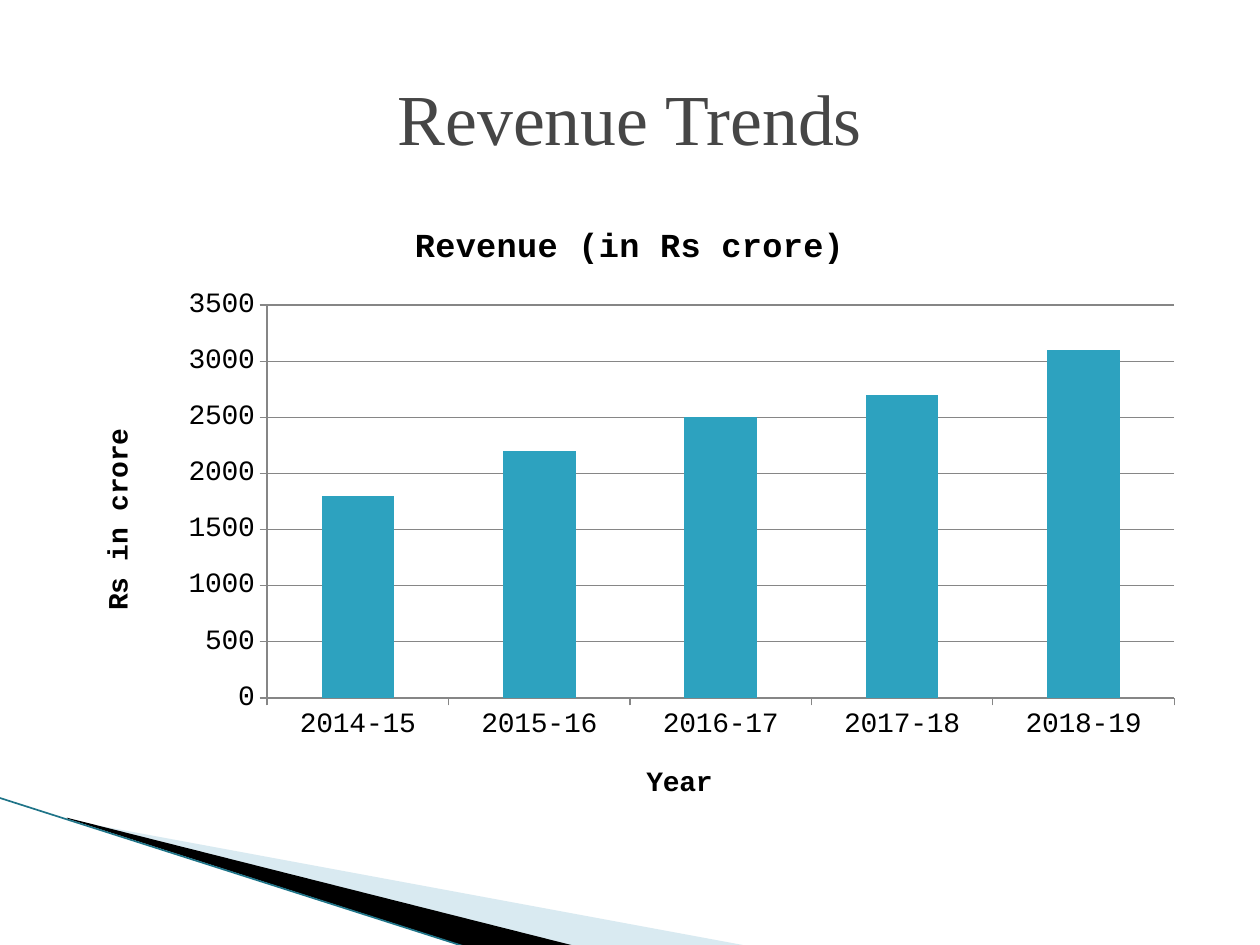
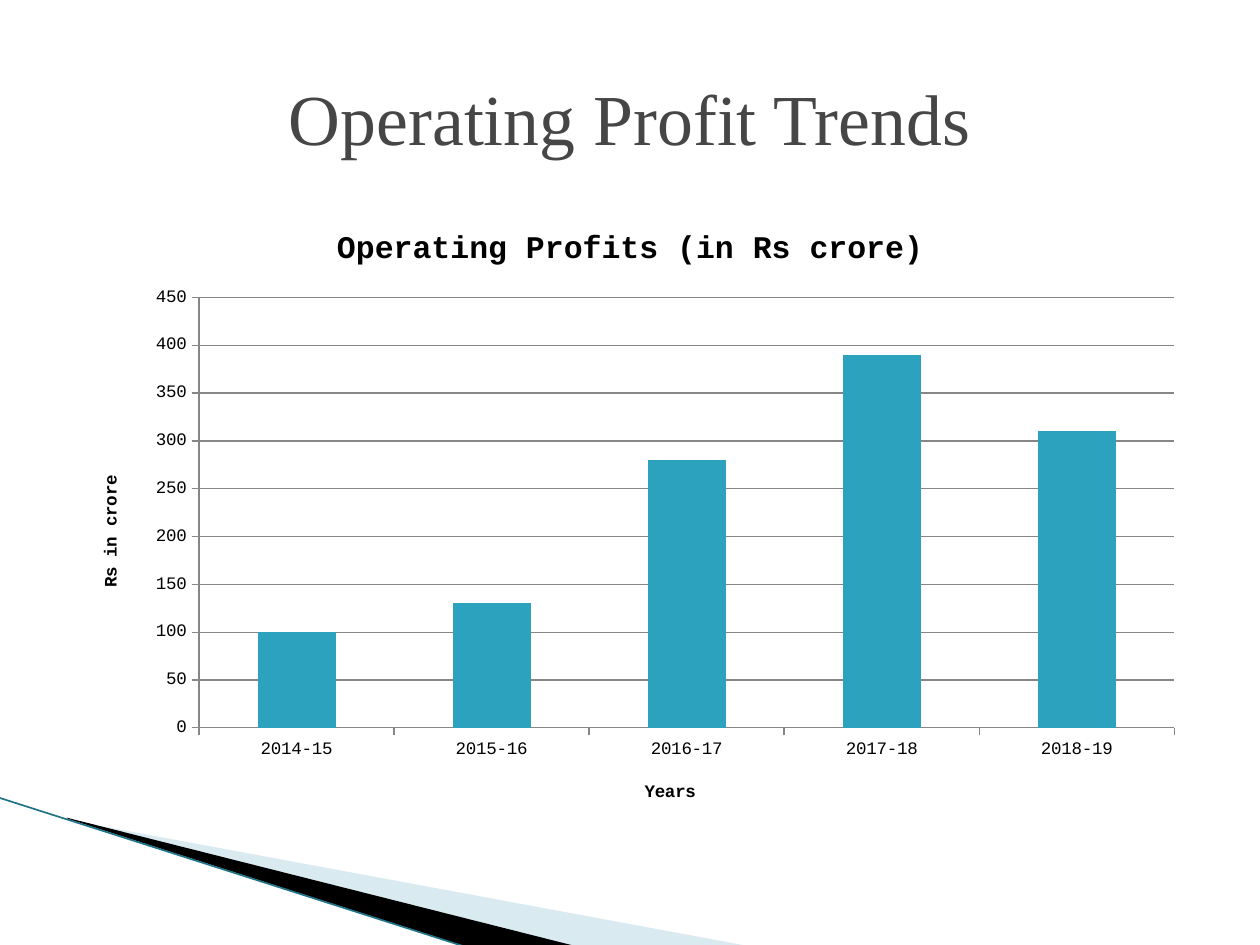
from lxml import etree
from pptx import Presentation
from pptx.chart.data import CategoryChartData
from pptx.dml.color import RGBColor
from pptx.enum.chart import XL_CHART_TYPE, XL_TICK_MARK
from pptx.enum.shapes import MSO_CONNECTOR
from pptx.enum.text import MSO_ANCHOR, PP_ALIGN
from pptx.oxml.ns import qn
from pptx.util import Pt

COLUMNS = XL_CHART_TYPE.COLUMN_CLUSTERED
STRAIGHT = MSO_CONNECTOR.STRAIGHT
OUTSIDE = XL_TICK_MARK.OUTSIDE
MIDDLE = MSO_ANCHOR.MIDDLE
CENTER = PP_ALIGN.CENTER
TITLE_ONLY = 5

COLORS = {"title": "464646", "text": "000000", "bar": "2DA2BF", "grid": "868686",
          "pale_band": "A0CBDC", "dark_band": "000000", "edge": "1F7488"}
TITLE_FONT, CHART_FONT = "Times New Roman", "Courier New"
YEARS = ["2014-15", "2015-16", "2016-17", "2017-18", "2018-19"]

# Corner bands, in points
PALE_BAND = [(39.6, 468.7), (428.4, 540.7), (328.3, 540.7), (39.6, 468)]
DARK_BAND = [(38.2, 467.3), (329, 540.7), (267.8, 541.4), (38.9, 468)]
EDGE = [(-0.7, 455.8), (267.1, 541.4)]


def color(name):
    return RGBColor.from_string(COLORS[name])


def format_font(font, name, size, fill, bold=False):
    font.name, font.size, font.bold = name, Pt(size), bold
    font.color.rgb = color(fill)


def write(frame, text, align=CENTER, **style):
    """Put one formatted line of text in a text frame."""
    para = frame.paragraphs[0]
    para.alignment = align
    span = para.add_run()
    span.text = text
    format_font(span.font, **style)


def place(element, index, **fractions):
    """Fix a chart part at fractions of the chart's width and height."""
    for old in element.findall(qn("c:layout")):
        element.remove(old)
    layout = etree.Element(qn("c:layout"))
    manual = etree.SubElement(layout, qn("c:manualLayout"))
    settings = {"xMode": "edge", "yMode": "edge", **fractions}
    if "w" in fractions:
        settings = {"layoutTarget": "inner", **settings}
    for tag, value in settings.items():
        etree.SubElement(manual, qn(f"c:{tag}")).set("val", str(value))
    element.insert(index, layout)


class Deck:
    def __init__(self):
        self.deck = Presentation()
        self.deck.slide_width, self.deck.slide_height = Pt(720), Pt(540)
        self.page = None

    def add_page(self, title):
        self.page = self.deck.slides.add_slide(self.deck.slide_layouts[TITLE_ONLY])
        self.band(PALE_BAND, "pale_band", opacity=40)
        self.band(DARK_BAND, "dark_band")
        self.line(*EDGE, "edge", 0.95)
        self.title(title)

    def title(self, text):
        box = self.page.shapes.title
        box.left, box.top, box.width, box.height = Pt(36), Pt(21.6), Pt(648), Pt(90)
        box.text_frame.vertical_anchor = MIDDLE
        write(box.text_frame, text, name=TITLE_FONT, size=41, fill="title")

    def band(self, points, fill, opacity=100):
        corners = [(Pt(x), Pt(y)) for x, y in points]
        builder = self.page.shapes.build_freeform(*corners[0])
        builder.add_line_segments(corners[1:], close=True)
        shape = builder.convert_to_shape()
        shape.shadow.inherit = False
        shape.fill.solid()
        shape.fill.fore_color.rgb = color(fill)
        shape.line.fill.background()
        if opacity < 100:
            tint = shape.fill._xPr.find(".//" + qn("a:srgbClr"))
            etree.SubElement(tint, qn("a:alpha")).set("val", str(opacity * 1000))

    def line(self, start, end, stroke, width):
        ends = [Pt(value) for value in (*start, *end)]
        connector = self.page.shapes.add_connector(STRAIGHT, *ends)
        connector.line.color.rgb = color(stroke)
        connector.line.width = Pt(width)
        etree.SubElement(connector._element.spPr, qn("a:effectLst"))

    def column_chart(self, heading, values, top, size, heading_size, year_title,
                     maximum, step, plot, year_at, value_at):
        data = CategoryChartData()
        data.categories = YEARS
        data.add_series(heading, values)
        chart = self.page.shapes.add_chart(
            COLUMNS, Pt(36), Pt(top), Pt(648), Pt(356.4), data).chart
        chart.has_legend = False
        format_font(chart.font, CHART_FONT, size, "text")

        # Heading and columns
        chart.has_title = True
        bold = {"name": CHART_FONT, "fill": "text", "bold": True}
        write(chart.chart_title.text_frame, heading, size=heading_size, **bold)
        chart.chart_title.include_in_layout = False
        columns = chart.plots[0]
        columns.gap_width = 150
        columns.vary_by_categories = False
        fill = columns.series[0].format.fill
        fill.solid()
        fill.fore_color.rgb = color("bar")

        # Axes
        years, amounts = chart.category_axis, chart.value_axis
        amounts.minimum_scale, amounts.maximum_scale = 0, maximum
        amounts.major_unit = step
        amounts.has_major_gridlines = True
        for axis, text, (x, y) in ((years, year_title, year_at),
                                   (amounts, "Rs in crore", value_at)):
            axis.major_tick_mark = OUTSIDE
            axis.has_title = True
            write(axis.axis_title.text_frame, text, size=size, **bold)
            place(axis.axis_title._element, 1, x=x, y=y)
        for item in (years, amounts, amounts.major_gridlines):
            item.format.line.color.rgb = color("grid")
            item.format.line.width = Pt(0.75)
        place(chart._chartSpace.chart.plotArea, 0, **plot)

    def save(self):
        self.deck.save("out.pptx")


def main():
    deck = Deck()

    # Revenue
    deck.add_page("Revenue Trends")
    deck.column_chart("Revenue (in Rs crore)", [1800, 2200, 2500, 2700, 3100],
                      top=113.8, size=16, heading_size=19.2, year_title="Year",
                      maximum=3500, step=500,
                      plot={"x": 0.18, "y": 0.17, "w": 0.8, "h": 0.63},
                      year_at=(0.51, 0.9), value_at=(0.03, 0.36))

    # Operating profit
    deck.add_page("Operating Profit Trends")
    deck.column_chart("Operating Profits (in Rs crore)", [100, 130, 280, 390, 310],
                      top=116.6, size=10, heading_size=18, year_title="Years",
                      maximum=450, step=50,
                      plot={"x": 0.12, "y": 0.15, "w": 0.86, "h": 0.69},
                      year_at=(0.51, 0.92), value_at=(0.03, 0.43))

    deck.save()


if __name__ == "__main__":
    main()
